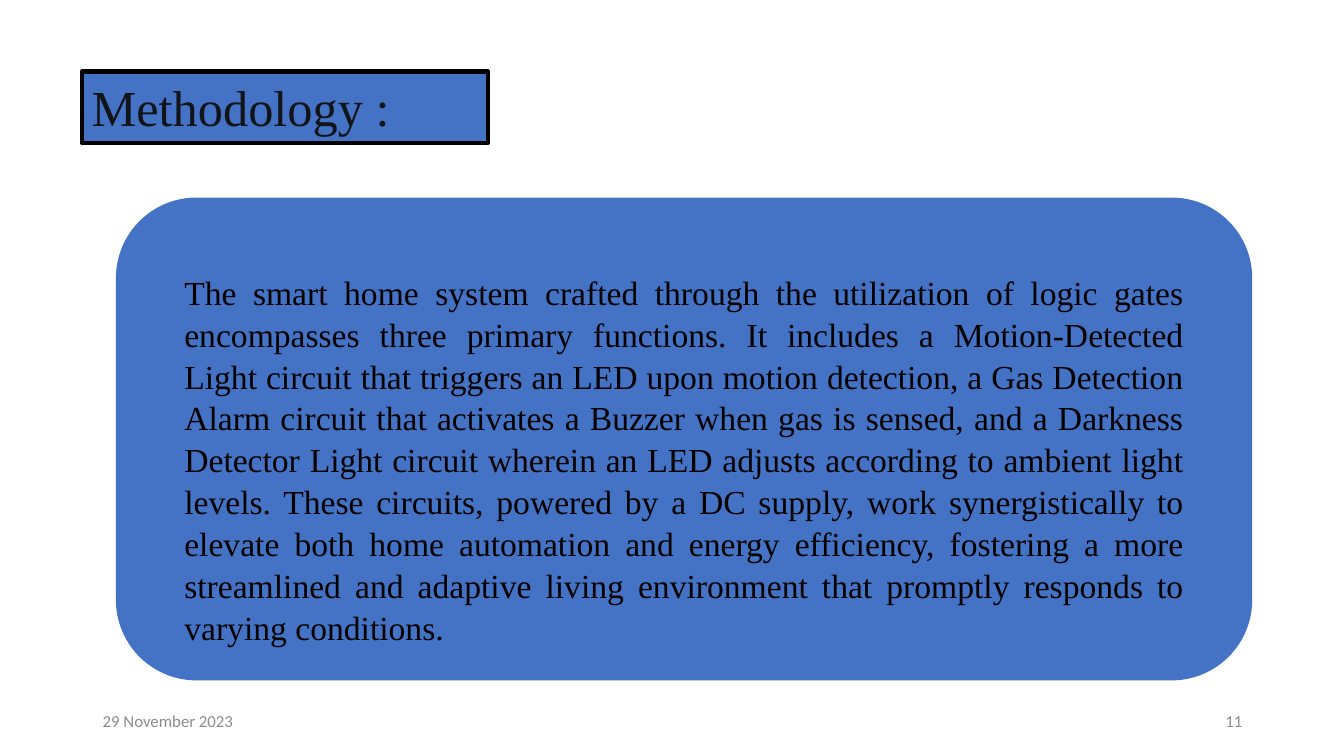
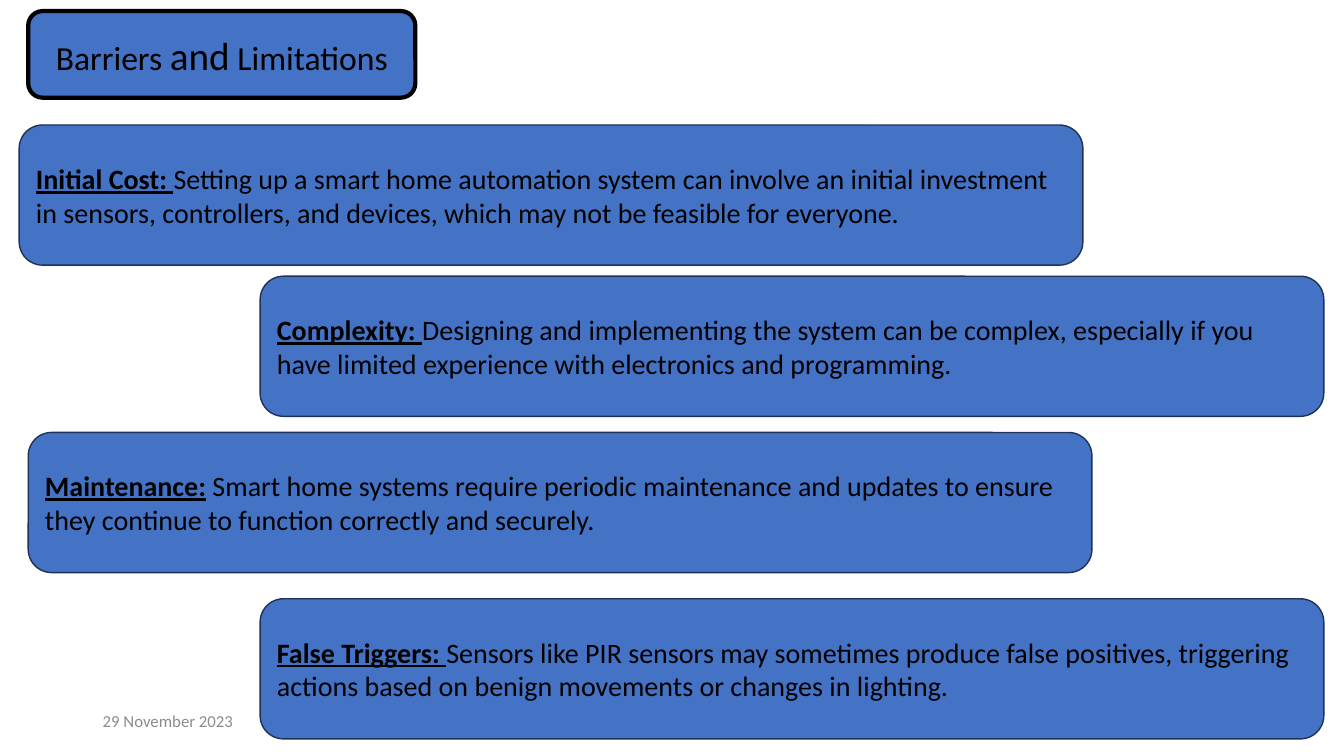
from dataclasses import dataclass
from typing import Optional

from pptx import Presentation
from pptx.dml.color import RGBColor
from pptx.enum.shapes import MSO_SHAPE
from pptx.enum.text import MSO_ANCHOR, MSO_AUTO_SIZE, PP_ALIGN
from pptx.shapes.autoshape import Shape
from pptx.slide import Slide
from pptx.util import Pt

EMU_PER_PX = 9144  # 100 px to the inch

BLUE = RGBColor(0x44, 0x72, 0xC4)
NAVY = RGBColor(0x1E, 0x32, 0x56)
BLACK = RGBColor(0x00, 0x00, 0x00)
INK = RGBColor(0x11, 0x15, 0x1A)
GRAY = RGBColor(0x8C, 0x8C, 0x8C)

SANS = "Calibri"
SERIF = "Times New Roman"


@dataclass(frozen=True)
class Box:
    left: int
    top: int
    width: int
    height: int

    def emu(self) -> tuple[int, ...]:
        return tuple(length * EMU_PER_PX for length in
                     (self.left, self.top, self.width, self.height))


@dataclass(frozen=True)
class Run:
    text: str
    size: Optional[int] = None
    heading: bool = False


@dataclass(frozen=True)
class Limitation:
    left: int
    top: int
    heading: str
    description: str


DATE_BOX = Box(92, 695, 300, 40)
NUMBER_BOX = Box(942, 695, 300, 40)
CARD_WIDTH, CARD_HEIGHT = 1055, 139

METHODOLOGY = (
    "The smart home system crafted through the utilization of logic gates "
    "encompasses three primary functions. It includes a Motion-Detected Light "
    "circuit that triggers an LED upon motion detection, a Gas Detection Alarm "
    "circuit that activates a Buzzer when gas is sensed, and a Darkness Detector "
    "Light circuit wherein an LED adjusts according to ambient light levels. "
    "These circuits, powered by a DC supply, work synergistically to elevate both "
    "home automation and energy efficiency, fostering a more streamlined and "
    "adaptive living environment that promptly responds to varying conditions."
)

LIMITATIONS = [
    Limitation(19, 124, "Initial Cost: ",
               "Setting up a smart home automation system can involve an initial "
               "investment in sensors, controllers, and devices, which may not be "
               "feasible for everyone."),
    Limitation(258, 274, "Complexity: ",
               "Designing and implementing the system can be complex, especially if "
               "you have limited experience with electronics and programming."),
    Limitation(28, 429, "Maintenance:",
               " Smart home systems require periodic maintenance and updates to "
               "ensure they continue to function correctly and securely."),
    Limitation(258, 594, "False Triggers: ",
               "Sensors like PIR sensors may sometimes produce false positives, "
               "triggering actions based on benign movements or changes in lighting."),
]


def write_text(shape: Shape, *runs: Run, size: int, font: str = SANS,
               color: RGBColor = BLACK, align: PP_ALIGN = PP_ALIGN.LEFT,
               anchor: MSO_ANCHOR = MSO_ANCHOR.MIDDLE, grow: bool = False,
               line_spacing: Optional[float] = None) -> None:
    frame = shape.text_frame
    frame.word_wrap = True
    frame.vertical_anchor = anchor
    if grow:
        frame.auto_size = MSO_AUTO_SIZE.SHAPE_TO_FIT_TEXT
    paragraph = frame.paragraphs[0]
    paragraph.alignment = align
    paragraph.line_spacing = line_spacing
    for item in runs:
        run = paragraph.add_run()
        run.text = item.text
        run.font.name = font
        run.font.size = Pt(item.size or size)
        run.font.color.rgb = color
        run.font.bold = item.heading
        run.font.underline = item.heading


def add_panel(slide: Slide, box: Box, rounded: bool = True,
              line: Optional[RGBColor] = None, line_width: int = 1) -> Shape:
    kind = MSO_SHAPE.ROUNDED_RECTANGLE if rounded else MSO_SHAPE.RECTANGLE
    shape = slide.shapes.add_shape(kind, *box.emu())
    shape.shadow.inherit = False
    shape.fill.solid()
    shape.fill.fore_color.rgb = BLUE
    if line is None:
        shape.line.fill.background()
    else:
        shape.line.color.rgb = line
        shape.line.width = Pt(line_width)
    return shape


def add_title_panel(slide: Slide, box: Box, rounded: bool) -> Shape:
    return add_panel(slide, box, rounded, line=BLACK, line_width=3)


def add_footer(slide: Slide, box: Box, text: str,
               align: PP_ALIGN = PP_ALIGN.LEFT) -> None:
    footer = slide.shapes.add_textbox(*box.emu())
    write_text(footer, Run(text), size=12, color=GRAY, align=align)


def add_date(slide: Slide) -> None:
    add_footer(slide, DATE_BOX, "29 November 2023")


def build_methodology(slide: Slide) -> None:
    title = add_title_panel(slide, Box(81, 71, 403, 71), rounded=False)
    write_text(title, Run("Methodology :"), size=36, font=SERIF, color=INK,
               anchor=MSO_ANCHOR.TOP, grow=True)
    add_footer(slide, NUMBER_BOX, "11", PP_ALIGN.RIGHT)
    add_panel(slide, Box(115, 196, 1127, 479))
    body = add_panel(slide, Box(173, 263, 1011, 374), rounded=False)
    write_text(body, Run(METHODOLOGY), size=24, font=SERIF,
               align=PP_ALIGN.JUSTIFY, anchor=MSO_ANCHOR.TOP, grow=True,
               line_spacing=1.04)
    add_date(slide)


def build_limitations(slide: Slide) -> None:
    title = add_title_panel(slide, Box(28, 11, 384, 86), rounded=True)
    write_text(title, Run("Barriers "), Run("and", size=28), Run(" Limitations"),
               size=24, align=PP_ALIGN.CENTER)
    for item in LIMITATIONS:
        card = add_panel(slide, Box(item.left, item.top, CARD_WIDTH, CARD_HEIGHT),
                         line=NAVY)
        write_text(card, Run(item.heading, heading=True), Run(item.description),
                   size=20)
    add_date(slide)


def main() -> None:
    presentation = Presentation()
    presentation.slide_width = 1333 * EMU_PER_PX
    presentation.slide_height = 750 * EMU_PER_PX
    blank_layout = presentation.slide_layouts[6]
    for build in (build_methodology, build_limitations):
        build(presentation.slides.add_slide(blank_layout))
    presentation.save("out.pptx")


if __name__ == "__main__":
    main()
